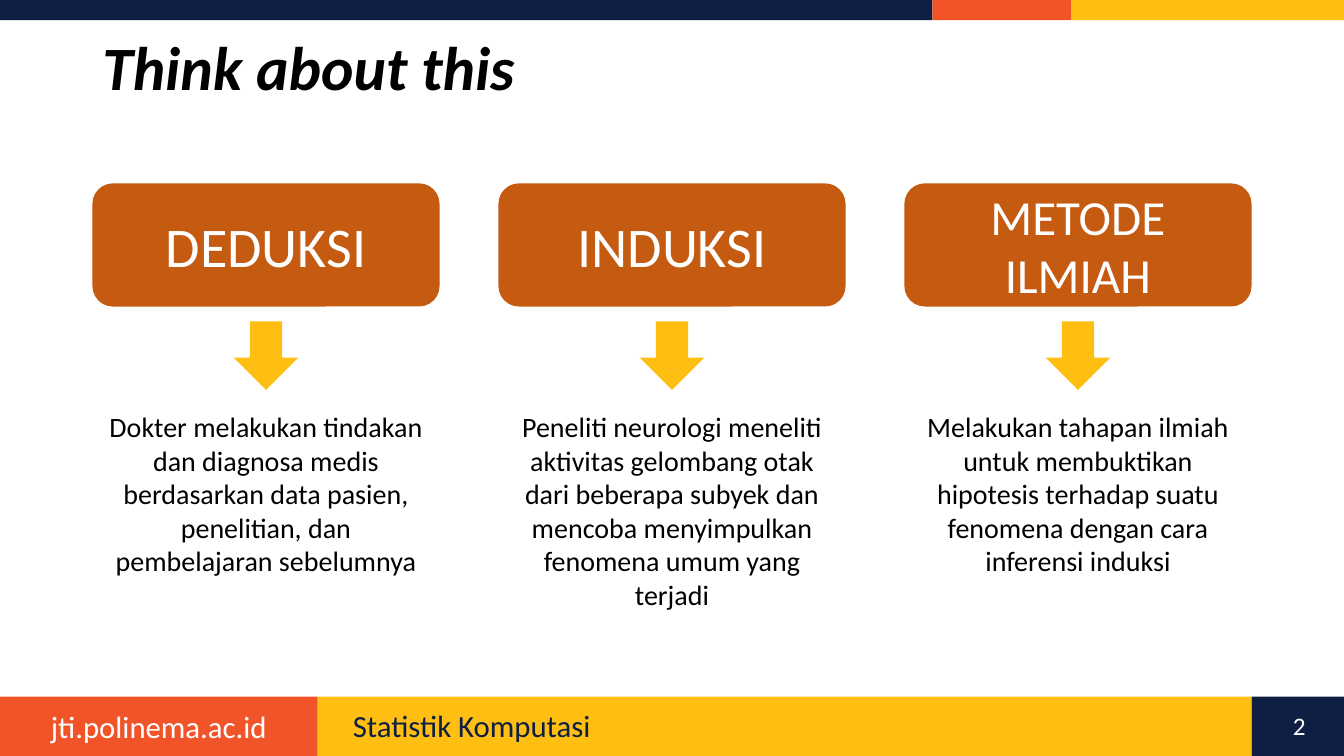
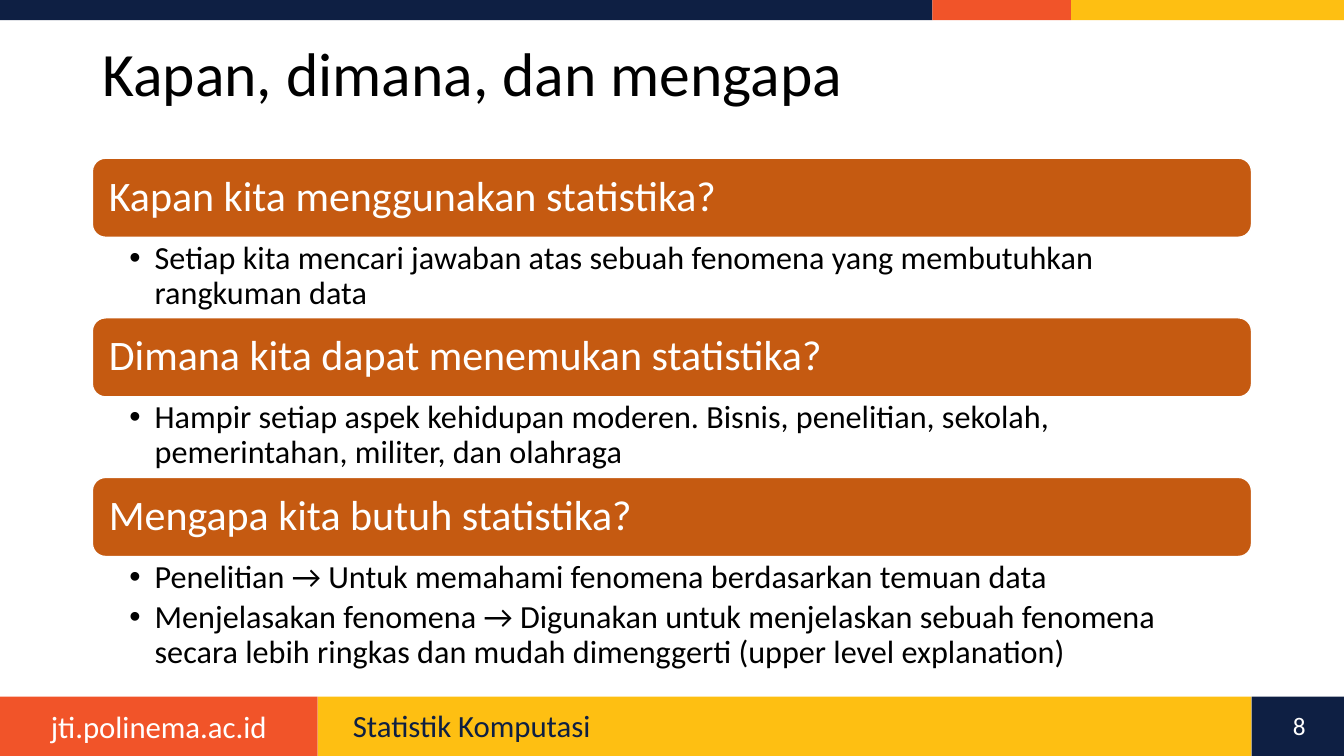
from lxml.etree import SubElement
from pptx import Presentation
from pptx.dml.color import RGBColor
from pptx.enum.shapes import MSO_SHAPE as Shape
from pptx.enum.text import MSO_ANCHOR as Anchor, PP_ALIGN as Align
from pptx.oxml.ns import qn
from pptx.util import Pt

NAVY = RGBColor(0x0E, 0x1F, 0x43)
ORANGE = RGBColor(0xF1, 0x54, 0x29)
YELLOW = RGBColor(0xFE, 0xBF, 0x12)
RUST = RGBColor(0xC5, 0x5A, 0x11)
WHITE = RGBColor(0xFF, 0xFF, 0xFF)
BLACK = RGBColor(0x00, 0x00, 0x00)
FONT = "Calibri"

PAGE_WIDTH, PAGE_HEIGHT = 960, 540
MARGIN = 66
CONTENT_WIDTH = PAGE_WIDTH - 2 * MARGIN
INSETS = (7.2, 3.6, 7.2, 3.6)

# Each band: top, height, then its (width, colour) parts from left to right
BANDS = [
    (0, 14.4, [(666, NAVY), (99, ORANGE), (195, YELLOW)]),
    (497.5, 42.5, [(227, ORANGE), (667, YELLOW), (66, NAVY)]),
]
WEBSITE = "jti.polinema.ac.id"
COURSE = "Statistik Komputasi"

# Method, text size, example
METHODS = [
    ("DEDUKSI", 40,
     "Dokter melakukan tindakan dan diagnosa medis berdasarkan data pasien, "
     "penelitian, dan pembelajaran sebelumnya"),
    ("INDUKSI", 40,
     "Peneliti neurologi meneliti aktivitas gelombang otak dari beberapa subyek "
     "dan mencoba menyimpulkan fenomena umum yang terjadi"),
    ("METODE ILMIAH", 35,
     "Melakukan tahapan ilmiah untuk membuktikan hipotesis terhadap suatu "
     "fenomena dengan cara inferensi induksi"),
]

QUESTIONS = [
    ("Kapan kita menggunakan statistika?",
     ["Setiap kita mencari jawaban atas sebuah fenomena yang membutuhkan "
      "rangkuman data"]),
    ("Dimana kita dapat menemukan statistika?",
     ["Hampir setiap aspek kehidupan moderen. Bisnis, penelitian, sekolah, "
      "pemerintahan, militer, dan olahraga"]),
    ("Mengapa kita butuh statistika?",
     ["Penelitian → Untuk memahami fenomena berdasarkan temuan data",
      "Menjelasakan fenomena → Digunakan untuk menjelaskan sebuah fenomena "
      "secara lebih ringkas dan mudah dimenggerti (upper level explanation)"]),
]


def add_bullet(para, indent):
    properties = para._p.get_or_add_pPr()
    properties.set("marL", str(Pt(indent)))
    properties.set("indent", str(-Pt(indent)))
    SubElement(properties, qn("a:buFont")).set("typeface", "Arial")
    SubElement(properties, qn("a:buChar")).set("char", "•")


def write(box, lines, size, color, align=Align.LEFT, anchor=Anchor.TOP,
          insets=INSETS, line_spacing=None, bullet_indent=None, emphasis=False):
    """Fill a box with one paragraph per line, all in the same style."""
    frame = box.text_frame
    frame.word_wrap = True
    frame.vertical_anchor = anchor
    (frame.margin_left, frame.margin_top,
     frame.margin_right, frame.margin_bottom) = map(Pt, insets)
    frame.text = "\n".join(lines)
    for para in frame.paragraphs:
        para.alignment = align
        if line_spacing:
            para.line_spacing = line_spacing
        if bullet_indent:
            para.space_after = Pt(4)
            add_bullet(para, bullet_indent)
        for span in para.runs:
            span.font.name = FONT
            span.font.size = Pt(size)
            span.font.color.rgb = color
            span.font.bold = span.font.italic = emphasis


def add_text(page, left, top, width, height, lines, size, color, **style):
    box = page.shapes.add_textbox(Pt(left), Pt(top), Pt(width), Pt(height))
    write(box, lines, size, color, **style)


def add_block(page, kind, left, top, width, height, fill):
    block = page.shapes.add_shape(kind, Pt(left), Pt(top), Pt(width), Pt(height))
    block.shadow.inherit = False
    block.fill.solid()
    block.fill.fore_color.rgb = fill
    block.line.fill.background()
    return block


def add_page(deck, title, number, title_height, emphasis=False):
    """Add a page with the shared bands, footer and title."""
    page = deck.slides.add_slide(deck.slide_layouts[6])
    for top, height, parts in BANDS:
        left = 0
        for width, color in parts:
            add_block(page, Shape.RECTANGLE, left, top, width, height, color)
            left += width
    add_text(page, 0, 502, 227, 34, [WEBSITE], 22, WHITE, align=Align.CENTER)
    add_text(page, 245, 504, 629, 29, [COURSE], 22, NAVY, line_spacing=0.9)
    add_text(page, 906, 504, 44, 29, [number], 18, WHITE, align=Align.CENTER)
    add_text(page, MARGIN, 29, 737, title_height, [title], 44, BLACK,
             anchor=Anchor.MIDDLE, line_spacing=0.9, emphasis=emphasis)
    return page


def add_methods(page):
    width, arrow_width = 248, 46
    step = (CONTENT_WIDTH - width) / (len(METHODS) - 1)
    for index, (method, size, example) in enumerate(METHODS):
        left = MARGIN + index * step
        card = add_block(page, Shape.ROUNDED_RECTANGLE, left, 131, width, 88, RUST)
        write(card, [method], size, WHITE, align=Align.CENTER, anchor=Anchor.MIDDLE)
        add_block(page, Shape.DOWN_ARROW, left + (width - arrow_width) / 2, 229.5,
                  arrow_width, 49, YELLOW)
        add_text(page, left, 289, width, 150, [example], 20, BLACK,
                 align=Align.CENTER)


def add_questions(page):
    first_top, step, bar_height = 113, 114, 56.5
    for index, (question, answers) in enumerate(QUESTIONS):
        top = first_top + index * step
        bar = add_block(page, Shape.ROUNDED_RECTANGLE, MARGIN, top,
                        CONTENT_WIDTH, bar_height, RUST)
        bar.line.color.rgb = WHITE
        bar.line.width = Pt(1)
        write(bar, [question], 30, WHITE, anchor=Anchor.MIDDLE,
              insets=(9, 6, 9, 6), line_spacing=0.9)
        add_text(page, MARGIN, top + bar_height, CONTENT_WIDTH,
                 28 + 30 * len(answers), answers, 23, BLACK,
                 insets=(26.5, 3, 16.5, 3), line_spacing=0.9, bullet_indent=18)


def main():
    deck = Presentation()
    deck.slide_width, deck.slide_height = Pt(PAGE_WIDTH), Pt(PAGE_HEIGHT)
    add_methods(add_page(deck, "Think about this", "2", 43, emphasis=True))
    add_questions(add_page(deck, "Kapan, dimana, dan mengapa", "8", 52))
    deck.save("out.pptx")


if __name__ == "__main__":
    main()
